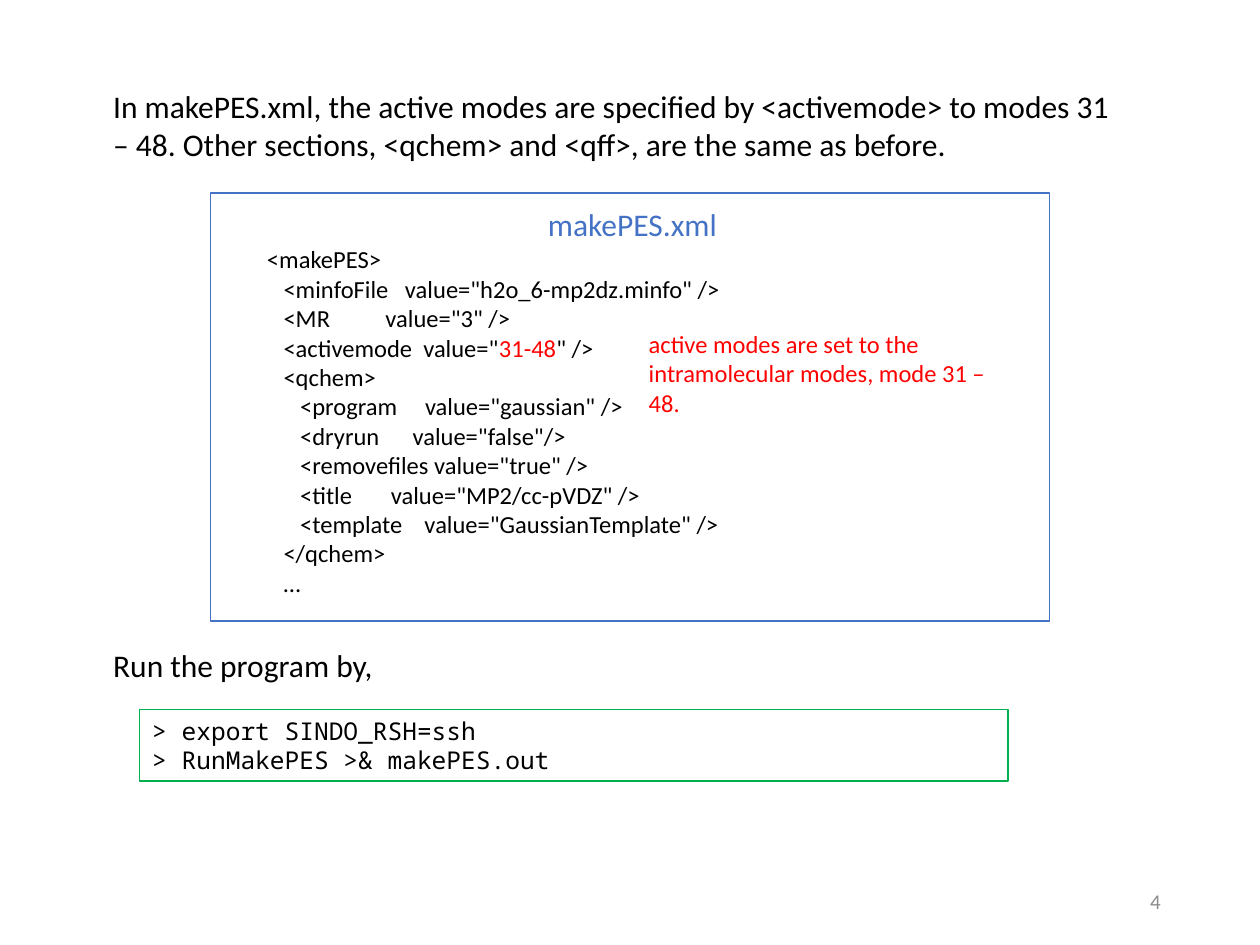
"""Build the slide on active modes in makePES.xml and how to run the program."""
from pptx import Presentation
from pptx.dml.color import RGBColor
from pptx.enum.shapes import MSO_SHAPE
from pptx.enum.text import MSO_ANCHOR, PP_ALIGN
from pptx.util import Pt

RECT = MSO_SHAPE.RECTANGLE
TOP, MIDDLE = MSO_ANCHOR.TOP, MSO_ANCHOR.MIDDLE
LEFT, RIGHT = PP_ALIGN.LEFT, PP_ALIGN.RIGHT

SANS, MONO = "Calibri", "Noto Sans Mono"
BLACK, RED, BLUE, GREEN, GRAY = "000000", "FF0000", "4472C4", "00B050", "8C8C8C"

INTRO = ("In makePES.xml, the active modes are specified by <activemode> to modes 31 – 48. "
         "Other sections, <qchem> and <qff>, are the same as before.")
NOTE = "active modes are set to the intramolecular modes, mode 31 – 48."
XML_LINES = [
    "<makePES>",
    '   <minfoFile   value="h2o_6-mp2dz.minfo" />',
    '   <MR          value="3" />',
    [('   <activemode  value="', BLACK), ("31-48", RED), ('" />', BLACK)],
    "   <qchem>",
    '      <program     value="gaussian" />',
    '      <dryrun      value="false"/>',
    '      <removefiles value="true" />',
    '      <title       value="MP2/cc-pVDZ" />',
    '      <template    value="GaussianTemplate" />',
    "   </qchem>",
    "   …",
]
COMMANDS = ["> export SINDO_RSH=ssh", "> RunMakePES >& makePES.out"]

FRAMES = [
    ((120.24, 110.16, 479.52, 244.8), BLUE, 1),
    ((79.92, 405.36, 496.08, 41.04), GREEN, 0.75),
]
TEXTS = [
    ((57.6, 46.08, 595.44, 51.12), [INTRO], 18, BLACK, {}),
    ((306, 113.76, 111.6, 28.8), ["makePES.xml"], 18, BLUE, {"wrap": False}),
    ((145.44, 136.08, 275.04, 210.96), XML_LINES, 14, BLACK, {"wrap": False}),
    ((363.6, 184.32, 226.8, 41.04), [NOTE], 14, RED, {}),
    ((57.6, 365.76, 595.44, 28.8), ["Run the program by,"], 18, BLACK, {}),
    (FRAMES[1][0], COMMANDS, 14, BLACK, {"font": MONO}),
    ((508.32, 500.4, 162, 28.8), ["4"], 12, GRAY, {"align": RIGHT, "anchor": MIDDLE}),
]


def rgb(color):
    return RGBColor.from_string(color)


def add_frame(s, box, color, width):
    sp = s.shapes.add_shape(RECT, *map(Pt, box))
    sp.shadow.inherit = False
    sp.fill.background()
    sp.line.color.rgb = rgb(color)
    sp.line.width = Pt(width)


def add_text(s, box, lines, size, color, font=SANS, wrap=True, align=LEFT, anchor=TOP):
    tf = s.shapes.add_textbox(*map(Pt, box)).text_frame
    tf.word_wrap = wrap
    tf.vertical_anchor = anchor
    for i, line in enumerate(lines):
        p = tf.add_paragraph() if i else tf.paragraphs[0]
        p.alignment = align
        runs = [(line, color)] if isinstance(line, str) else line
        for text, run_color in runs:
            r = p.add_run()
            r.text = text
            r.font.name = font
            r.font.size = Pt(size)
            r.font.color.rgb = rgb(run_color)


def main():
    prs = Presentation()
    prs.slide_width, prs.slide_height = Pt(720), Pt(540)
    s = prs.slides.add_slide(prs.slide_layouts[6])
    for frame in FRAMES:
        add_frame(s, *frame)
    for box, lines, size, color, options in TEXTS:
        add_text(s, box, lines, size, color, **options)
    prs.save("out.pptx")


if __name__ == "__main__":
    main()
